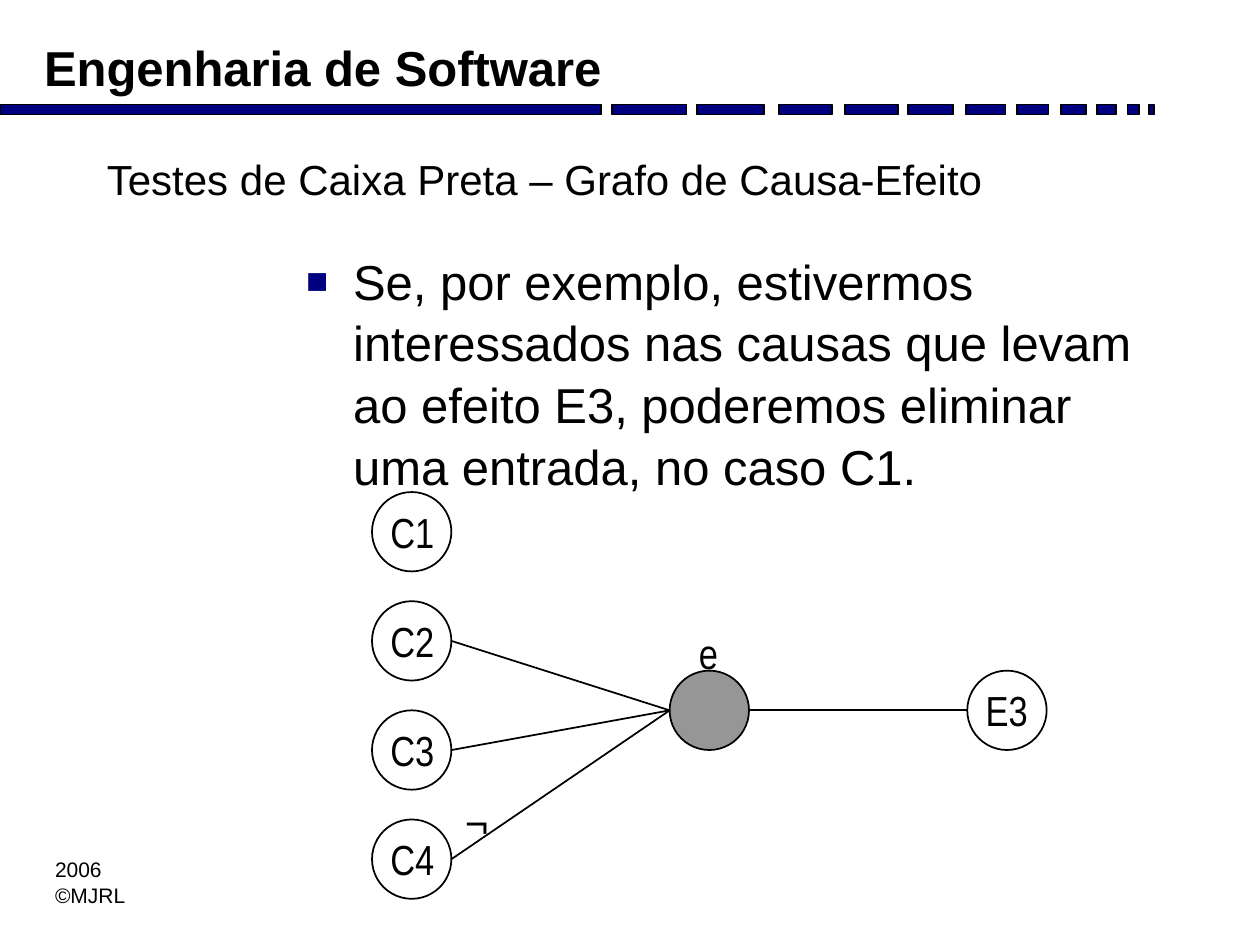
from lxml.etree import SubElement
from pptx import Presentation
from pptx.dml.color import RGBColor
from pptx.enum.shapes import MSO_CONNECTOR as Connector, MSO_SHAPE as Shape
from pptx.enum.text import MSO_ANCHOR as Anchor, MSO_AUTO_SIZE as AutoSize, PP_ALIGN as Align
from pptx.oxml.ns import qn
from pptx.util import Cm, Pt

BLACK = RGBColor(0x00, 0x00, 0x00)
WHITE = RGBColor(0xFF, 0xFF, 0xFF)
NAVY = RGBColor(0x00, 0x00, 0x80)
GRAY = RGBColor(0x96, 0x96, 0x96)

DIAMETER = 1.6
CAUSE_LEFT, CAUSE_TOP, CAUSE_PITCH = 7.5, 9.92, 2.2
JOIN_LEFT, EFFECT_LEFT, JOIN_TOP = 13.5, 19.5, 13.52
STRIPES = [
    (0, 12.12), (12.34, 1.5), (14.05, 1.35), (15.7, 1.07),
    (17.04, 1.07), (18.31, 0.91), (19.48, 0.79), (20.5, 0.64),
    (21.39, 0.51), (22.12, 0.38), (22.73, 0.23), (23.16, 0.1),
]


def format_text(frame, size, font="Arial", bold=False):
    for paragraph in frame.paragraphs:
        paragraph.alignment = Align.LEFT
        for run in paragraph.runs:
            run.font.name = font
            run.font.size = Pt(size)
            run.font.bold = bold
            run.font.color.rgb = BLACK


def add_text(slide, text, left, top, width, height, size, font="Arial", bold=False, wrap=False):
    box = slide.shapes.add_textbox(Cm(left), Cm(top), Cm(width), Cm(height))
    frame = box.text_frame
    frame.text = text
    frame.word_wrap = wrap
    frame.auto_size = AutoSize.NONE if wrap else AutoSize.SHAPE_TO_FIT_TEXT
    format_text(frame, size, font, bold)
    return frame


def add_outlined(shapes, kind, left, top, width, height, fill):
    outlined = shapes.add_shape(kind, Cm(left), Cm(top), Cm(width), Cm(height))
    outlined.shadow.inherit = False
    outlined.fill.solid()
    outlined.fill.fore_color.rgb = fill
    outlined.line.color.rgb = BLACK
    outlined.line.width = Pt(1)


def add_node(slide, left, top, label=None, fill=WHITE):
    add_outlined(slide.shapes, Shape.OVAL, left, top, DIAMETER, DIAMETER, fill)
    if label:
        add_text(slide, label, left + 0.12, top + 0.16, 1.4, 1.27, 24, "Arial Narrow")


def add_edge(slide, left, start_top, right, end_top):
    radius = DIAMETER / 2
    edge = slide.shapes.add_connector(
        Connector.STRAIGHT, Cm(left + DIAMETER), Cm(start_top + radius),
        Cm(right), Cm(end_top + radius))
    edge.line.color.rgb = BLACK
    edge.line.width = Pt(1)
    SubElement(edge.line._get_or_add_ln().getparent(), qn("a:effectLst"))


def add_header(slide):
    band = slide.shapes.add_group_shape()
    for left, width in STRIPES:
        add_outlined(band.shapes, Shape.RECTANGLE, left, 2.11, width, 0.2, NAVY)
    add_text(slide, "Engenharia de Software", 0.64, 0.64, 12.27, 1.42, 28, bold=True, wrap=True)
    add_text(slide, "2006\n©MJRL", 0.86, 17.15, 1.93, 1.27, 12)


def set_title(slide, text):
    title = slide.shapes.title
    title.left, title.top, title.width, title.height = Cm(1.9), Cm(2.97), Cm(21.6), Cm(1.9)
    title.text_frame.text = text
    title.text_frame.vertical_anchor = Anchor.TOP
    title.text_frame.auto_size = AutoSize.NONE
    format_text(title.text_frame, 24)


def add_bullet(slide, text):
    frame = add_text(slide, text, 5.92, 4.88, 17.78, 5.66, 28, wrap=True)
    paragraph = frame.paragraphs[0]
    paragraph.line_spacing = 1.05
    paragraph.space_after = Pt(3)
    properties = paragraph._p.get_or_add_pPr()
    properties.set("marL", str(Cm(0.95)))
    properties.set("indent", str(Cm(-0.95)))
    color = SubElement(properties, qn("a:buClr"))
    SubElement(color, qn("a:srgbClr"), val=str(NAVY))
    SubElement(properties, qn("a:buSzPct"), val="75000")
    SubElement(properties, qn("a:buFont"), typeface="Arial")
    SubElement(properties, qn("a:buChar"), char="■")


def add_graph(slide):
    cause_tops = [CAUSE_TOP + CAUSE_PITCH * row for row in range(4)]
    for number, top in enumerate(cause_tops, start=1):
        add_node(slide, CAUSE_LEFT, top, f"C{number}")
    add_node(slide, EFFECT_LEFT, JOIN_TOP, "E3")
    add_node(slide, JOIN_LEFT, JOIN_TOP, fill=GRAY)
    add_text(slide, "e", 13.84, 12.52, 0.89, 1.27, 24, "Arial Narrow")
    for top in cause_tops[1:]:
        add_edge(slide, CAUSE_LEFT, top, JOIN_LEFT, JOIN_TOP)
    add_edge(slide, JOIN_LEFT, JOIN_TOP, EFFECT_LEFT, JOIN_TOP)
    add_text(slide, "¬", 9.12, 15.93, 0.99, 1.27, 24, "Times New Roman", bold=True)


def main():
    deck = Presentation()
    deck.slide_width, deck.slide_height = Cm(25.4), Cm(19.05)
    slide = deck.slides.add_slide(deck.slide_layouts[5])
    add_header(slide)
    set_title(slide, "Testes de Caixa Preta – Grafo de Causa-Efeito")
    add_bullet(slide, "Se, por exemplo, estivermos interessados nas causas que levam "
                      "ao efeito E3, poderemos eliminar uma entrada, no caso C1.")
    add_graph(slide)
    deck.save("out.pptx")


if __name__ == "__main__":
    main()
